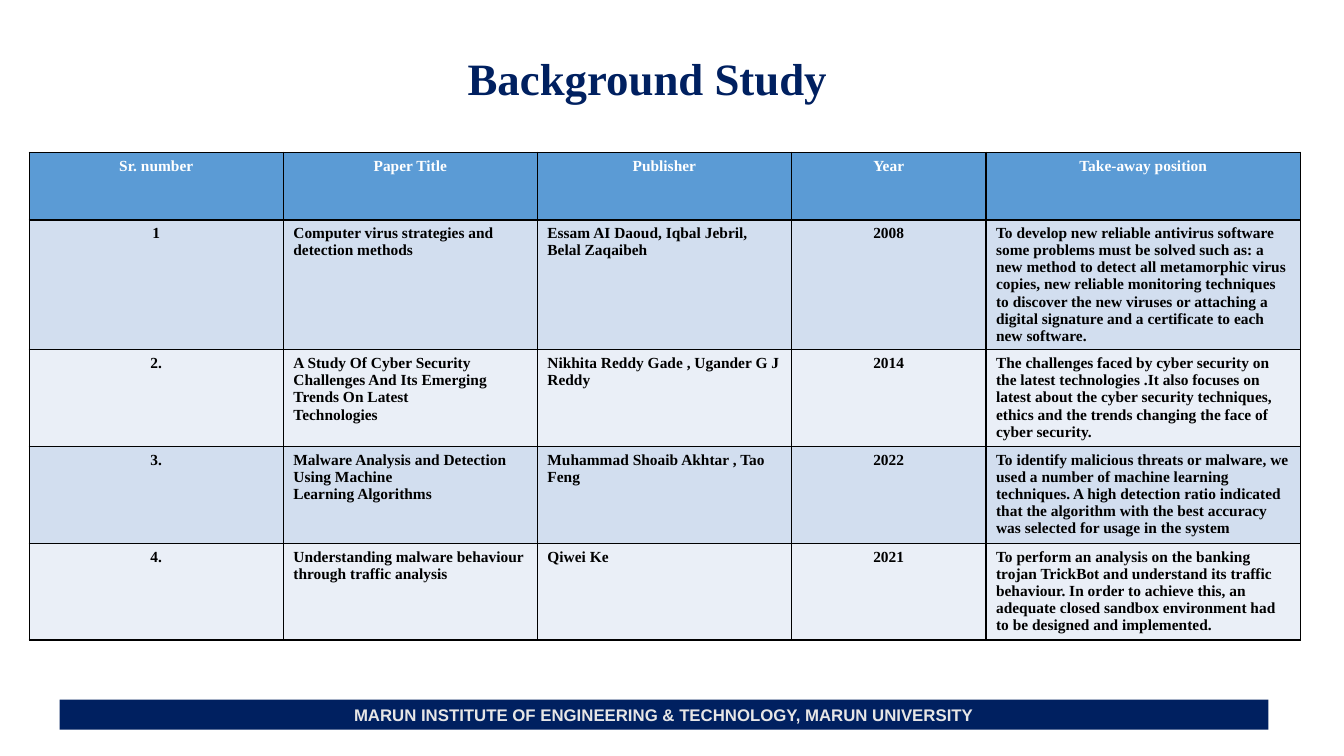
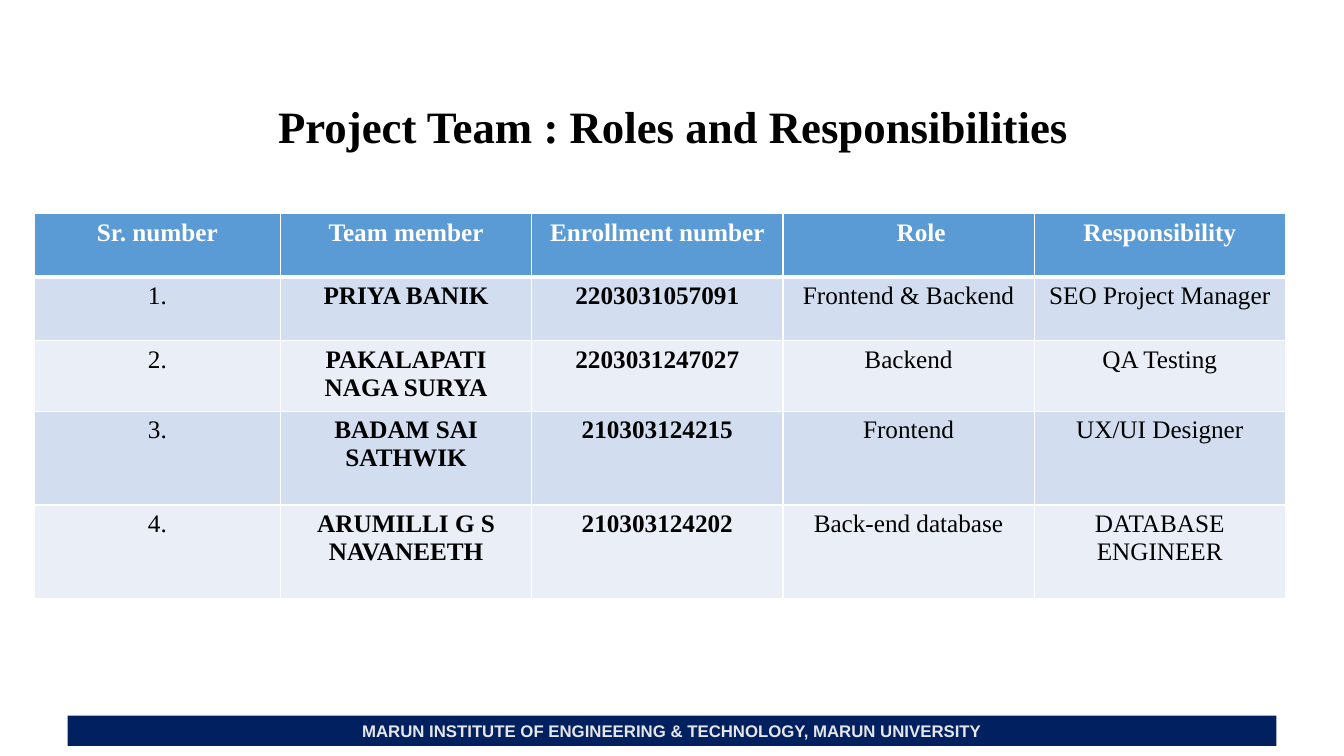
import pptx
import pptx.dml.color
import pptx.enum.shapes
import pptx.enum.text
import pptx.oxml
import pptx.oxml.ns
import pptx.util

NAVY, BLACK, WHITE = "002060", "000000", "FFFFFF"
HEADER, BANDS, FOOTER_TEXT = "5B9BD5", ("D2DEEF", "EAEFF7"), "E7E6E6"
SERIF, SANS = "Times New Roman", "Arial"
FOOTER = "MARUN INSTITUTE OF ENGINEERING & TECHNOLOGY, MARUN UNIVERSITY"
FOOTER_SIZE = (11.99, 0.3)

CENTER = pptx.enum.text.PP_ALIGN.CENTER
LEFT = pptx.enum.text.PP_ALIGN.LEFT

PAPERS = [
    ["Sr. number", "Paper Title", "Publisher", "Year", "Take-away position"],
    ["1", "Computer virus strategies and detection methods",
     "Essam AI Daoud, Iqbal Jebril, Belal Zaqaibeh", "2008",
     "To develop new reliable antivirus software some problems must be solved such as: "
     "a new method to detect all metamorphic virus copies, new reliable monitoring "
     "techniques to discover the new viruses or attaching a digital signature and a "
     "certificate to each new software."],
    ["2.", "A Study Of Cyber Security Challenges And Its Emerging Trends On Latest\nTechnologies",
     "Nikhita Reddy Gade , Ugander G J Reddy", "2014",
     "The challenges faced by cyber security on the latest technologies .It also focuses "
     "on latest about the cyber security techniques, ethics and the trends changing the "
     "face of cyber security."],
    ["3.", "Malware Analysis and Detection Using Machine\nLearning Algorithms",
     "Muhammad Shoaib Akhtar , Tao Feng", "2022",
     "To identify malicious threats or malware, we used a number of machine learning "
     "techniques. A high detection ratio indicated that the algorithm with the best "
     "accuracy was selected for usage in the system"],
    ["4.", "Understanding malware behaviour through traffic analysis", "Qiwei Ke", "2021",
     "To perform an analysis on the banking trojan TrickBot and understand its traffic "
     "behaviour. In order to achieve this, an adequate closed sandbox environment had to "
     "be designed and implemented."],
]

TEAM = [
    ["Sr. number", "Team member", "Enrollment number", "Role", "Responsibility"],
    ["1.", "PRIYA BANIK", "2203031057091", "Frontend & Backend", "SEO Project Manager"],
    ["2.", "PAKALAPATI NAGA SURYA", "2203031247027", "Backend", "QA Testing"],
    ["3.", "BADAM SAI SATHWIK", "210303124215", "Frontend", "UX/UI Designer"],
    ["4.", "ARUMILLI G S NAVANEETH", "210303124202", "Back-end database",
     "DATABASE ENGINEER"],
]


def rgb(value):
    return pptx.dml.color.RGBColor.from_string(value)


def inches(values):
    return [pptx.util.Inches(v) for v in values]


def style(p, size, color, name=SERIF, bold=True, align=LEFT):
    p.alignment = align
    p.font.name, p.font.size, p.font.bold = name, pptx.util.Pt(size), bold
    p.font.color.rgb = rgb(color)


def add_title(slide, box, text, color):
    tf = slide.shapes.add_textbox(*inches(box)).text_frame
    tf.word_wrap = True
    tf.text = text
    style(tf.paragraphs[0], 32, color)


def add_footer(slide, left, top):
    sp = slide.shapes.add_shape(pptx.enum.shapes.MSO_SHAPE.RECTANGLE,
                                *inches((left, top) + FOOTER_SIZE))
    sp.shadow.inherit = False
    sp.fill.solid()
    sp.fill.fore_color.rgb = rgb(NAVY)
    sp.line.fill.background()
    tf = sp.text_frame
    tf.text = FOOTER
    tf.vertical_anchor = pptx.enum.text.MSO_ANCHOR.MIDDLE
    style(tf.paragraphs[0], 12, FOOTER_TEXT, SANS, align=CENTER)


def set_borders(cell, color, widths):
    """Draw the left, right, top and bottom edges, widths in points."""
    tc_pr = cell._tc.get_or_add_tcPr()
    for side, width in zip("LRTB", widths):
        tc_pr.append(pptx.oxml.parse_xml(
            f'<a:ln{side} {pptx.oxml.ns.nsdecls("a")} w="{pptx.util.Pt(width)}">'
            f'<a:solidFill><a:srgbClr val="{color}"/></a:solidFill></a:ln{side}>'))


def add_grid(slide, box, rows, col_shares, row_shares, size, border, header_rule,
             centered, bold):
    """Place a banded table; centered and bold list the body columns they apply to."""
    tbl = slide.shapes.add_table(len(rows), len(rows[0]), *inches(box)).table
    tbl.horz_banding = False
    for lines, shares, attr, length in ((tbl.columns, col_shares, "width", box[2]),
                                        (tbl.rows, row_shares, "height", box[3])):
        for line, share in zip(lines, shares):
            setattr(line, attr, pptx.util.Inches(length * share / sum(shares)))
    for i, row in enumerate(rows):
        head = i == 0
        for j, text in enumerate(row):
            cell = tbl.cell(i, j)
            set_borders(cell, border, (1, 1, header_rule if i == 1 else 1,
                                       header_rule if head else 1))
            cell.fill.solid()
            cell.fill.fore_color.rgb = rgb(HEADER if head else BANDS[(i - 1) % 2])
            cell.text = text
            for p in cell.text_frame.paragraphs:
                style(p, size, WHITE if head else BLACK, bold=head or j in bold,
                      align=CENTER if head or j in centered else LEFT)
    return tbl


def background_study(slide):
    add_grid(slide, (0.29, 1.51, 12.61, 4.84), PAPERS, (2.52, 2.52, 2.52, 1.93, 3.12),
             (0.67, 1.29, 0.96, 0.96, 0.96), 11, BLACK, 1.5,
             centered=(0, 3), bold=range(5))
    add_title(slide, (4.54, 0.45, 4, 0.64), "Background Study", NAVY)
    add_footer(slide, 0.59, 6.94)


def project_team(slide):
    tbl = add_grid(slide, (0.34, 2.12, 12.41, 3.78), TEAM, (2.44, 2.49, 2.49, 2.49, 2.49),
                   (0.63, 0.63, 0.66, 0.93, 0.93), 18, WHITE, 3,
                   centered=range(5), bold=(1, 2))
    tbl.cell(0, 3).margin_left = pptx.util.Inches(0.35)
    add_title(slide, (2.66, 0.93, 8.47, 1.18),
              "Project Team : Roles and Responsibilities", BLACK)
    add_footer(slide, 0.67, 7.1)


def main():
    prs = pptx.Presentation()
    prs.slide_width, prs.slide_height = inches((13.33, 7.5))
    for build in (background_study, project_team):
        build(prs.slides.add_slide(prs.slide_layouts[6]))
    prs.save("out.pptx")


if __name__ == "__main__":
    main()
